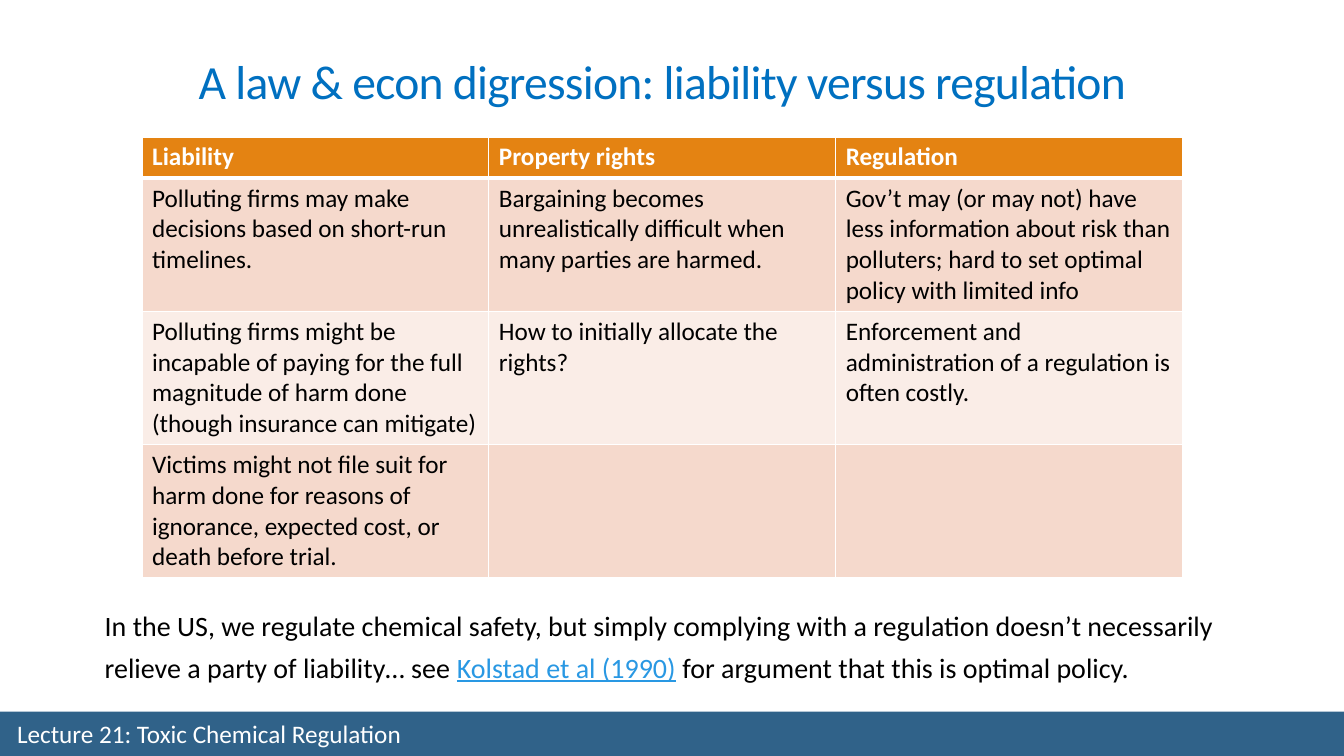
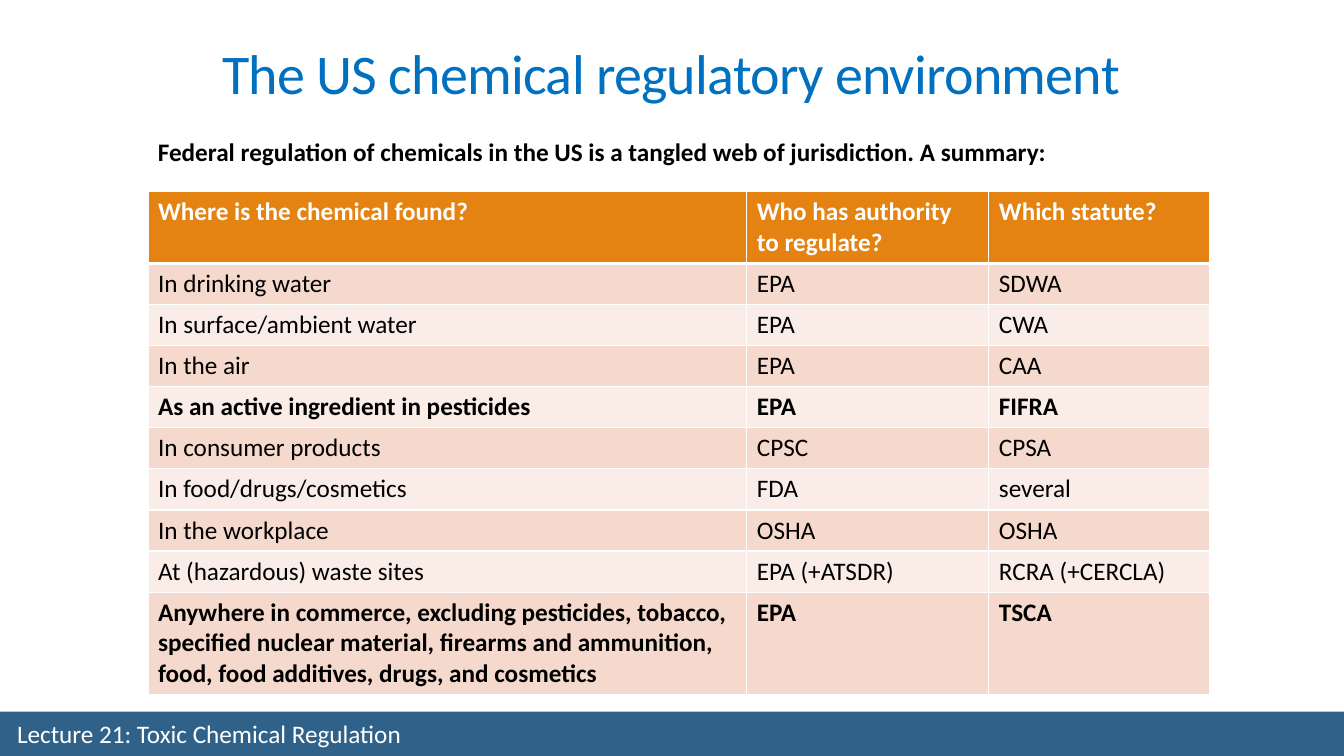
from lxml import etree
from pptx import Presentation
from pptx.dml.color import RGBColor
from pptx.enum import shapes, text
from pptx.oxml.ns import qn
from pptx.util import Cm, Pt

BAND = RGBColor(0x30, 0x62, 0x89)
TITLE = RGBColor(0x00, 0x70, 0xC0)
LINK = RGBColor(0x29, 0x98, 0xE3)
HEAD = RGBColor(0xE4, 0x83, 0x12)
DARK = RGBColor(0xF5, 0xD9, 0xCC)
LIGHT = RGBColor(0xFA, 0xED, 0xE7)
WHITE = RGBColor(0xFF, 0xFF, 0xFF)
BLACK = RGBColor(0x00, 0x00, 0x00)
FONT = "Calibri"
WIDTH, HEIGHT = 33.87, 19.05

FOOTER = "Lecture 21: Toxic Chemical Regulation"

# Each table row: lines of text it holds, bold or not, cell texts
RIGHTS = [
    (1, True, ["Liability", "Property rights", "Regulation"]),
    (4, False, [
        "Polluting firms may make decisions based on short-run timelines.",
        "Bargaining becomes unrealistically difficult when many parties are harmed.",
        "Gov’t may (or may not) have less information about risk than polluters; "
        "hard to set optimal policy with limited info"]),
    (4, False, [
        "Polluting firms might be incapable of paying for the full magnitude of "
        "harm done (though insurance can mitigate)",
        "How to initially allocate the rights?",
        "Enforcement and administration of a regulation is often costly."]),
    (4, False, [
        "Victims might not file suit for harm done for reasons of ignorance, "
        "expected cost, or death before trial.", "", ""]),
]
LAWS = [
    (2, True, ["Where is the chemical found?", "Who has authority to regulate?",
               "Which statute?"]),
    (1, False, ["In drinking water", "EPA", "SDWA"]),
    (1, False, ["In surface/ambient water", "EPA", "CWA"]),
    (1, False, ["In the air", "EPA", "CAA"]),
    (1, True, ["As an active ingredient in pesticides", "EPA", "FIFRA"]),
    (1, False, ["In consumer products", "CPSC", "CPSA"]),
    (1, False, ["In food/drugs/cosmetics", "FDA", "several"]),
    (1, False, ["In the workplace", "OSHA", "OSHA"]),
    (1, False, ["At (hazardous) waste sites", "EPA (+ATSDR)", "RCRA (+CERCLA)"]),
    (3, True, ["Anywhere in commerce, excluding pesticides, tobacco, specified "
               "nuclear material, firearms and ammunition, food, food additives, "
               "drugs, and cosmetics", "EPA", "TSCA"]),
]
NOTE = [
    ("In the US, we regulate chemical safety, but simply complying with a "
     "regulation doesn’t necessarily relieve a party of liability… see ", BLACK),
    ("Kolstad et al (1990)", LINK),
    (" for argument that this is optimal policy.", BLACK),
]
INTRO = ("Federal regulation of chemicals in the US is a tangled web of "
         "jurisdiction. A summary:")


def style(run, size, color, bold=False):
    font = run.font
    font.name, font.size, font.bold = FONT, Pt(size), bold
    font.color.rgb = color


def add_text(slide, box, parts, size, bold=False, anchor=text.MSO_ANCHOR.TOP):
    """Add a text box of (text, colour) parts and return its paragraph."""
    frame = slide.shapes.add_textbox(*map(Cm, box)).text_frame
    frame.word_wrap = True
    frame.vertical_anchor = anchor
    para = frame.paragraphs[0]
    for words, color in parts:
        run = para.add_run()
        run.text = words
        style(run, size, color, bold)
    return para


def add_base(deck, title, box, size, space):
    """Add a slide with the footer band and its title."""
    slide = deck.slides.add_slide(deck.slide_layouts[6])
    band = slide.shapes.add_shape(shapes.MSO_SHAPE.RECTANGLE, 0, Cm(17.93),
                                  Cm(WIDTH), Cm(HEIGHT - 17.93))
    band.shadow.inherit = False
    band.fill.solid()
    band.fill.fore_color.rgb = BAND
    band.line.fill.background()
    add_text(slide, (0.18, 18.08, 16.76, 0.82), [(FOOTER, WHITE)], 18,
             anchor=text.MSO_ANCHOR.MIDDLE)
    para = add_text(slide, box, [(title, TITLE)], size,
                    anchor=text.MSO_ANCHOR.BOTTOM)
    para.alignment = text.PP_ALIGN.CENTER
    para.line_spacing = space
    para.runs[0].font._element.set("spc", "-50")
    return slide


def add_edges(cell, base):
    """Draw white cell borders, the bottom one base points wide."""
    props = cell._tc.get_or_add_tcPr()
    for side, width in zip("LRTB", (1, 1, 1, base)):
        line = etree.SubElement(props, qn(f"a:ln{side}"), w=str(Pt(width)))
        fill = etree.SubElement(line, qn("a:solidFill"))
        etree.SubElement(fill, qn("a:srgbClr"), val=str(WHITE))


def add_grid(slide, left, top, cols, rows):
    tall = [0.26 + 0.775 * lines for lines, _, _ in rows]
    grid = slide.shapes.add_table(len(rows), len(cols), Cm(left), Cm(top),
                                  Cm(sum(cols)), Cm(sum(tall))).table
    for col, width in zip(grid.columns, cols):
        col.width = Cm(width)
    for i, (_, bold, words) in enumerate(rows):
        grid.rows[i].height = Cm(tall[i])
        fill = HEAD if i == 0 else DARK if i % 2 else LIGHT
        for j, word in enumerate(words):
            cell = grid.cell(i, j)
            add_edges(cell, 1 if i else 3)
            cell.fill.solid()
            cell.fill.fore_color.rgb = fill
            cell.text_frame.text = word
            for run in cell.text_frame.paragraphs[0].runs:
                style(run, 18, BLACK if i else WHITE, bold)


def main():
    deck = Presentation()
    deck.slide_width, deck.slide_height = Cm(WIDTH), Cm(HEIGHT)

    slide = add_base(deck, "A law & econ digression: liability versus regulation",
                     (4.39, 0.56, 24.61, 2.29), 34, 0.75)
    add_grid(slide, 3.58, 3.45, [8.74] * 3, RIGHTS)
    para = add_text(slide, (2.39, 14.99, 29.11, 2.31), NOTE, 20)
    para.line_spacing = 1.25
    para.runs[1].font.underline = True

    slide = add_base(deck, "The US chemical regulatory environment",
                     (5.28, 0.66, 23.27, 2.13), 40, 0.85)
    add_text(slide, (3.73, 3.3, 26.39, 1.02), [(INTRO, BLACK)], 18, bold=True)
    add_grid(slide, 3.73, 4.83, [15.09, 6.1, 5.56], LAWS)

    deck.save("out.pptx")


if __name__ == "__main__":
    main()
